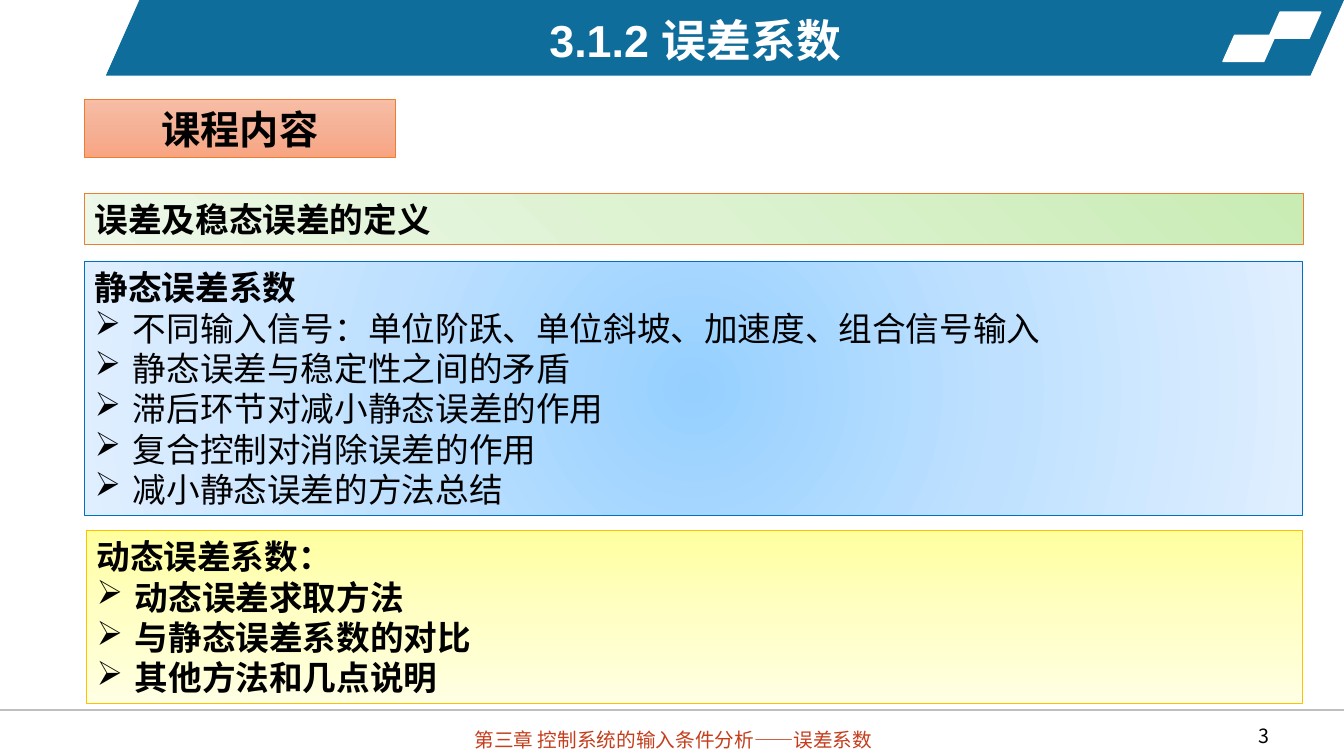
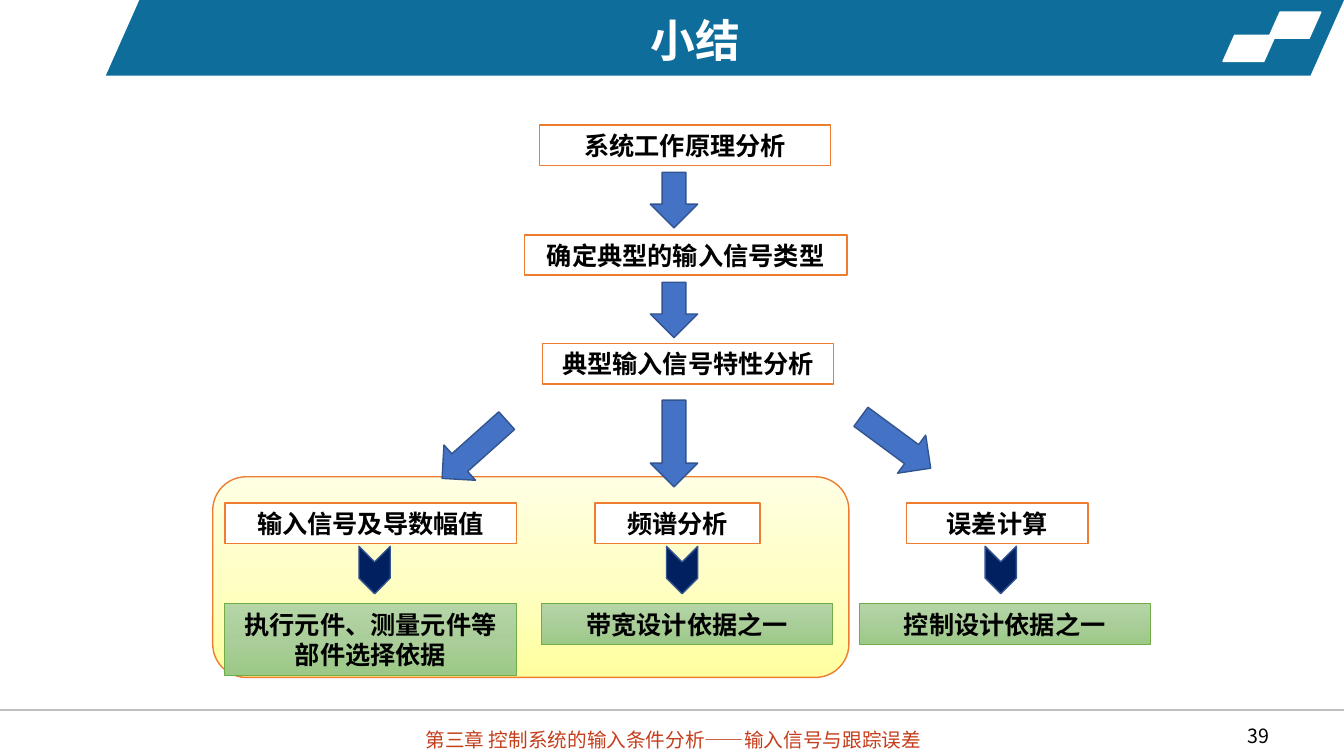
"""Build two lecture slides on error coefficients and input analysis."""
from lxml import etree
from pptx import Presentation
from pptx.dml.color import RGBColor
from pptx.enum.shapes import MSO_CONNECTOR, MSO_SHAPE
from pptx.enum.text import MSO_ANCHOR, PP_ALIGN
from pptx.oxml import parse_xml
from pptx.oxml.ns import nsdecls, qn
from pptx.util import Inches, Pt

RECT, ROUND = MSO_SHAPE.RECTANGLE, MSO_SHAPE.ROUNDED_RECTANGLE
SLANT, ARROW, CHEVRON = MSO_SHAPE.PARALLELOGRAM, MSO_SHAPE.DOWN_ARROW, MSO_SHAPE.CHEVRON
STRAIGHT = MSO_CONNECTOR.STRAIGHT
LEFT, CENTER, RIGHT = PP_ALIGN.LEFT, PP_ALIGN.CENTER, PP_ALIGN.RIGHT
MIDDLE = MSO_ANCHOR.MIDDLE

SANS, ARIAL, SERIF = "Noto Sans CJK SC", "Arial", "Times New Roman"
COLORS = {
    "band": "0F6D9C", "white": "FFFFFF", "black": "000000", "rule": "BFBFBF",
    "footer": "C43E1C", "orange": "ED7D31", "gold": "FFC000", "blue": "0070C0",
    "green": "70AD47", "arrow": "4472C4", "arrow_edge": "325491", "navy": "002060",
}
GRADIENTS = {
    "salmon": (("F7BDA5", "F5B196", "F8A582"), 90),
    "mint": (("C9ECB4", "DCF2D0", "EDF8E8"), 135),
    "yellow": (("FFFFA0", "FFFFC5", "FFFFE3"), 90),
    "yellow_up": (("FFFFA0", "FFFFC5", "FFFFE3"), 270),
    "sky": (("96D0FF", "BFE1FF", "E0EFFF"), None),
    "leaf": (("B5D5A7", "AACE9A", "9CC987"), 90),
}


class Deck:
    """Hold the shared style and the current slide."""

    def __init__(self):
        self.prs = Presentation()
        self.prs.slide_width, self.prs.slide_height = Inches(13.33), Inches(7.5)
        self.s = None

    def color(self, name):
        return RGBColor.from_string(COLORS[name])

    def slide(self, title, footer, number):
        self.s = self.prs.slides.add_slide(self.prs.slide_layouts[6])
        self.shape(SLANT, (1.05, 0, 12.28, 0.75), "band", adj=0.444)
        self.rule(7.04)
        self.label((9.69, 7.1, 3, 0.4), number, 14, "black", RIGHT)
        p = self.label((3.67, 7.1, 6.02, 0.4), footer, 14, "footer", CENTER)
        p.line_spacing, p.space_before = 1.3, Pt(10)
        self.label((1.35, 0.07, 11.09, 0.64), title, 32, "white", CENTER, ARIAL, True)
        for x, y in ((12.58, 0.12), (12.13, 0.35)):
            self.shape(SLANT, (x, y, 0.52, 0.26), "white", "white", adj=0.444)

    def rule(self, y):
        line = self.s.shapes.add_connector(
            STRAIGHT, Inches(0), Inches(y), self.prs.slide_width, Inches(y))
        line.line.color.rgb, line.line.width = self.color("rule"), Pt(1.5)
        etree.SubElement(line._element.spPr, qn("a:effectLst"))

    def gradient(self, sp, name):
        stops, angle = GRADIENTS[name]
        gs = "".join(f'<a:gs pos="{i * 50000}"><a:srgbClr val="{c}"/></a:gs>'
                     for i, c in enumerate(stops))
        if angle is None:
            way = ('<a:path path="circle"><a:fillToRect l="50000" t="50000" '
                   'r="50000" b="50000"/></a:path>')
        else:
            way = f'<a:lin ang="{angle * 60000}" scaled="0"/>'
        sp._element.spPr.insert(2, parse_xml(
            f'<a:gradFill {nsdecls("a")} rotWithShape="1"><a:gsLst>{gs}</a:gsLst>{way}</a:gradFill>'))

    def shape(self, kind, at, fill, line=None, width=1, adj=None, turn=0):
        sp = self.s.shapes.add_shape(kind, *map(Inches, at))
        if fill in GRADIENTS:
            self.gradient(sp, fill)
        else:
            sp.fill.solid()
            sp.fill.fore_color.rgb = self.color(fill)
        if line:
            sp.line.color.rgb, sp.line.width = self.color(line), Pt(width)
        else:
            sp.line.fill.background()
        sp.shadow.inherit = False
        sp.rotation = turn
        if adj is not None:
            sp.adjustments[0] = adj
        return sp

    def frame(self, sp):
        tf = sp.text_frame
        tf.word_wrap, tf.vertical_anchor = True, MIDDLE
        return tf

    def add_text(self, p, text, size, color, align, font=SANS, bold=False):
        p.alignment = align
        r = p.add_run()
        r.text = text
        r.font.name, r.font.size, r.font.bold = font, Pt(size), bold
        r.font.color.rgb = self.color(color)
        etree.SubElement(r._r.get_or_add_rPr(), qn("a:ea")).set("typeface", SANS)
        return p

    def label(self, at, text, size, color, align, font=SANS, bold=False):
        tf = self.frame(self.s.shapes.add_textbox(*map(Inches, at)))
        return self.add_text(tf.paragraphs[0], text, size, color, align, font, bold)

    def box(self, at, text, size=18, fill="white", line="orange", width=1, align=CENTER):
        tf = self.frame(self.shape(RECT, at, fill, line, width))
        self.add_text(tf.paragraphs[0], text, size, "black", align, bold=True)

    def panel(self, at, head, items, fill, line, width, fonts, bold):
        tf = self.frame(self.shape(RECT, at, fill, line, width))
        self.add_text(tf.paragraphs[0], head, 24, "black", LEFT, fonts[0], True)
        for item in items:
            p = self.add_text(tf.add_paragraph(), item, 24, "black", LEFT, fonts[1], bold)
            pPr = p._p.get_or_add_pPr()
            pPr.set("marL", str(Inches(0.38)))
            pPr.set("indent", str(-Inches(0.38)))
            etree.SubElement(pPr, qn("a:buChar")).set("char", "➢")

    def arrow(self, x, y, height, turn=0):
        self.shape(ARROW, (x, y, 0.47, height), "arrow", "arrow_edge", turn=turn)

    def chevron(self, x):
        self.shape(CHEVRON, (x, 5.5, 0.47, 0.31), "navy", "arrow_edge", adj=0.5, turn=90)


deck = Deck()

deck.slide("3.1.2 误差系数", "第三章 控制系统的输入条件分析——误差系数", "3")
deck.box((0.84, 0.99, 3.08, 0.57), "课程内容", 28, "salmon", width=0.5)
deck.box((0.84, 1.92, 12.09, 0.5), "误差及稳态误差的定义", 24, "mint", width=0.5, align=LEFT)
deck.panel((0.86, 5.26, 12.06, 1.72), "动态误差系数：",
           ("动态误差求取方法", "与静态误差系数的对比", "其他方法和几点说明"),
           "yellow", "gold", 0.5, (SANS, SANS), True)
deck.panel((0.84, 2.59, 12.08, 2.52), "静态误差系数",
           ("不同输入信号：单位阶跃、单位斜坡、加速度、组合信号输入",
            "静态误差与稳定性之间的矛盾", "滞后环节对减小静态误差的作用",
            "复合控制对消除误差的作用", "减小静态误差的方法总结"),
           "sky", "blue", 0.75, (ARIAL, SERIF), False)

deck.slide("小结", "第三章 控制系统的输入条件分析——输入信号与跟踪误差", "39")
deck.shape(ROUND, (2.11, 4.73, 6.31, 1.99), "yellow_up", "orange")
for x, y, w, step in ((5.35, 1.24, 2.89, "系统工作原理分析"),
                      (5.2, 2.33, 3.2, "确定典型的输入信号类型"),
                      (5.38, 3.41, 2.89, "典型输入信号特性分析")):
    deck.box((x, y, w, 0.4), step)
for x, y, height, turn in ((6.45, 1.71, 0.55, 0), (6.45, 2.8, 0.55, 0),
                           (4.47, 4.03, 0.86, 48.2), (6.45, 3.97, 0.86, 0),
                           (8.65, 3.96, 0.86, 306.4)):
    deck.arrow(x, y, height, turn)
for x, w, task, chevron_x, basis_x, basis_h, basis in (
        (2.23, 2.89, "输入信号及导数幅值", 3.48, 2.23, 0.71, "执行元件、测量元件等部件选择依据"),
        (5.9, 1.64, "频谱分析", 6.53, 5.37, 0.4, "带宽设计依据之一"),
        (8.99, 1.8, "误差计算", 9.69, 8.52, 0.4, "控制设计依据之一")):
    deck.box((x, 4.99, w, 0.4), task)
    deck.chevron(chevron_x)
    deck.box((basis_x, 5.99, 2.89, basis_h), basis, fill="leaf", line="green", width=0.5)

deck.prs.save("out.pptx")
